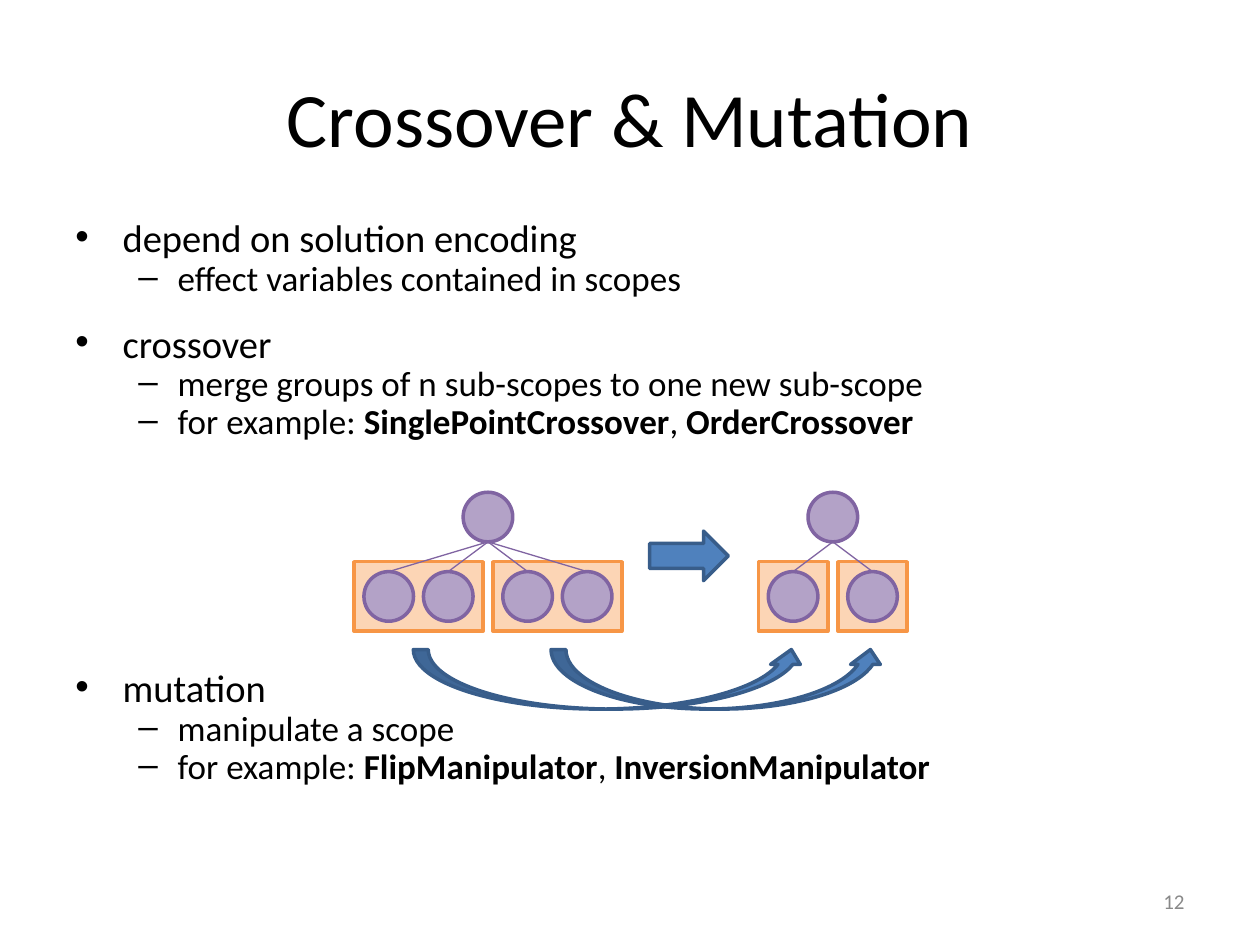
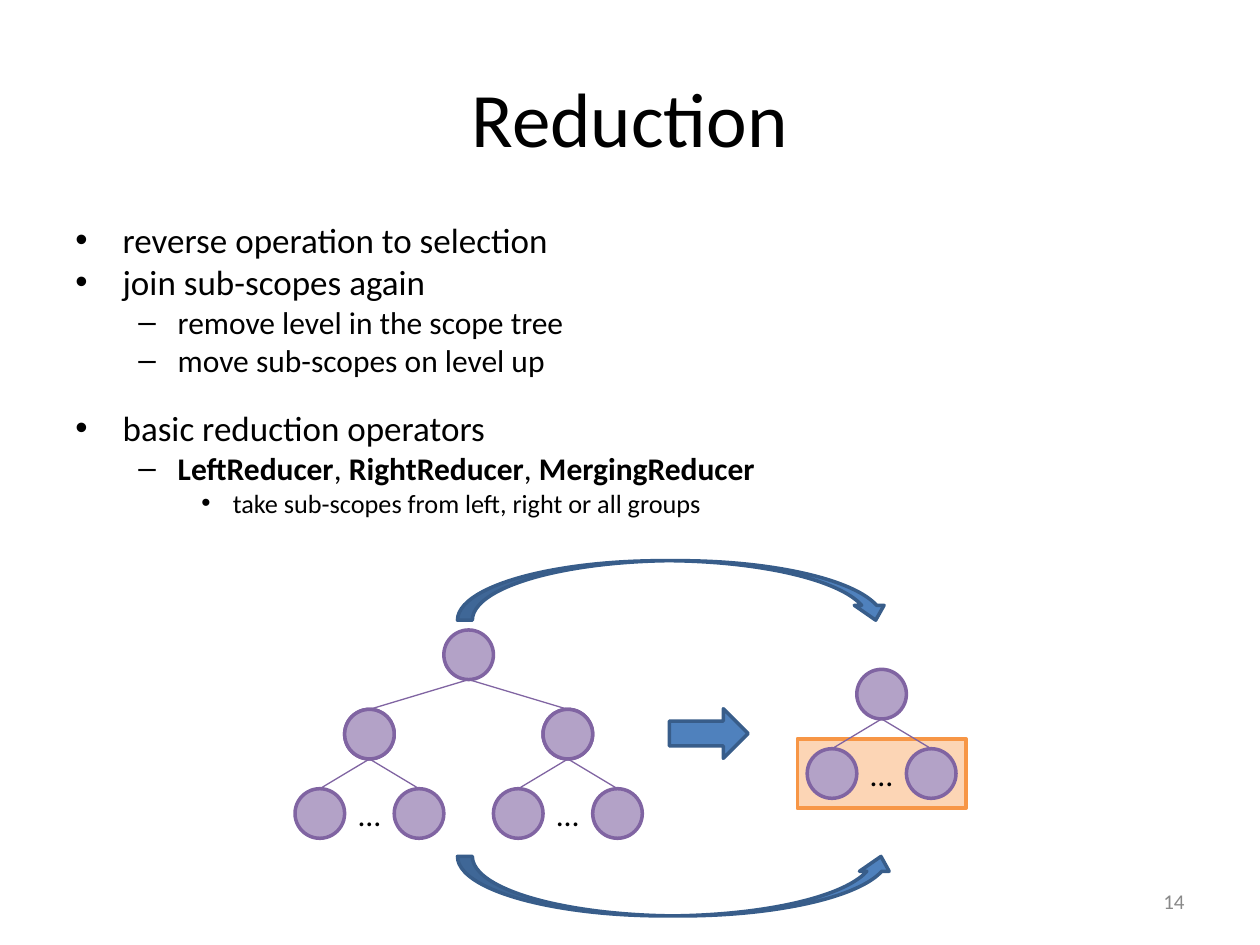
from collections import namedtuple
from lxml.etree import SubElement
from pptx import Presentation
from pptx.dml.color import RGBColor as Rgb
from pptx.enum.shapes import MSO_CONNECTOR as Link, MSO_SHAPE as Form
from pptx.enum.text import MSO_ANCHOR as Anchor, PP_ALIGN as Align
from pptx.oxml.ns import qn
from pptx.util import Pt

Box = namedtuple("Box", "left top width height")
Level = namedtuple("Level", "mark margin hang")

COLORS = {
    "text": "000000", "number": "898989",
    "node": "B3A2C7", "node_line": "8064A2",
    "group": "FCD5B5", "group_line": "F79646",
    "arrow": "4F81BD", "arrow_line": "385D8A",
}
FONT = "Calibri"
STEP = 5.67
NODE = 5 * STEP
DROP = 8 * STEP
LEVELS = [Level("•", 27, 27), Level("–", 58.5, 22.5), Level("•", 90, 18)]
TITLE_BOX = Box(36, 21.6, 648, 90)
NUMBER_BOX = Box(516, 500.4, 168, 28.8)
BODY_LEFT, BODY_TOP, BODY_WIDTH = 36, 126, 648


def color(name):
    return Rgb.from_string(COLORS[name])


def assign(target, values):
    for name, value in values.items():
        setattr(target, name, value)


def points(box):
    return [Pt(value) for value in box]


def add_spans(para, text, size, ink="text"):
    for index, part in enumerate(text.split("**")):
        if part:
            span = para.add_run()
            span.text = part
            assign(span.font, {"name": FONT, "size": Pt(size), "bold": index % 2 == 1})
            span.font.color.rgb = color(ink)


def add_frame(page, box, anchor):
    frame = page.shapes.add_textbox(*points(box)).text_frame
    assign(frame, {"word_wrap": True, "vertical_anchor": anchor})
    return frame


def add_label(page, box, text, size, align=Align.CENTER, ink="text"):
    para = add_frame(page, box, Anchor.MIDDLE).paragraphs[0]
    para.alignment = align
    add_spans(para, text, size, ink)


def add_bullet(para, level):
    props = para._p.get_or_add_pPr()
    props.set("marL", str(Pt(level.margin)))
    props.set("indent", str(Pt(-level.hang)))
    SubElement(props, qn("a:buFont")).set("typeface", "Arial")
    SubElement(props, qn("a:buChar")).set("char", level.mark)


def add_body(page, box, lines, sizes, spacing):
    frame = add_frame(page, box, Anchor.TOP)
    for index, (depth, text, *gap) in enumerate(lines):
        para = frame.add_paragraph() if index else frame.paragraphs[0]
        add_bullet(para, LEVELS[depth])
        before = gap[0] if gap else sizes[depth] / 4
        assign(para, {"line_spacing": spacing, "space_before": Pt(before if index else 0)})
        add_spans(para, text, sizes[depth])


def add_form(page, form, box, style):
    shape = page.shapes.add_shape(form, *points(box))
    shape.shadow.inherit = False
    shape.fill.solid()
    shape.fill.fore_color.rgb = color(style)
    shape.line.color.rgb = color(style + "_line")
    shape.line.width = Pt(2)


def add_branch(page, start, end):
    branch = page.shapes.add_connector(Link.STRAIGHT, *points(start + end))
    branch.line.color.rgb = color("node_line")
    branch.line.width = Pt(0.75)
    SubElement(branch._element.spPr, qn("a:effectLst"))


def add_node(page, center, top):
    add_form(page, Form.OVAL, Box(center - NODE / 2, top, NODE, NODE), "node")


def add_children(page, center, top, offsets):
    add_node(page, center, top)
    for offset in offsets:
        child = center + offset * STEP
        add_node(page, child, top + DROP)
        add_branch(page, (center, top + NODE), (child, top + DROP))


def add_groups(page, box, count):
    width = (box.width - (count - 1) * STEP) / count
    for index in range(count):
        left = box.left + index * (width + STEP)
        add_form(page, Form.RECTANGLE, Box(left, box.top + DROP - STEP, width, 7 * STEP), "group")


def add_tree(page, box, offsets, groups):
    add_groups(page, box, groups)
    add_children(page, box.left + box.width / 2, box.top, offsets)


def add_pair_tree(page, center, top):
    add_children(page, center, top, (-5, 5))
    add_label(page, Box(center - NODE / 2, top + DROP, NODE, NODE), "…", 18)


def add_deep_tree(page, box):
    center = box.left + box.width / 2
    for offset in (-10, 10):
        add_pair_tree(page, center + offset * STEP, box.top + DROP)
    add_children(page, center, box.top, (-10, 10))


def add_right_arrow(page, left, top):
    add_form(page, Form.RIGHT_ARROW, Box(left, top, 45, NODE), "arrow")


def add_curve(page, form, left, top, width):
    add_form(page, form, Box(left, top, width, 6 * STEP), "arrow")


def add_page(deck, title, number):
    page = deck.slides.add_slide(deck.slide_layouts[6])
    add_label(page, TITLE_BOX, title, 44)
    add_label(page, NUMBER_BOX, str(number), 12, Align.RIGHT, "number")
    return page


def add_crossover_page(deck):
    page = add_page(deck, "Crossover & Mutation", 12)
    add_body(page, Box(BODY_LEFT, BODY_TOP, BODY_WIDTH, 374.4), [
        (0, "depend on solution encoding"),
        (1, "effect variables contained in scopes"),
        (0, "crossover", 20),
        (1, "merge groups of n sub-scopes to one new sub-scope"),
        (1, "for example: **SinglePointCrossover**, **OrderCrossover**"),
        (0, "mutation", 135),
        (1, "manipulate a scope"),
        (1, "for example: **FlipManipulator**, **InversionManipulator**"),
    ], (22, 20), 0.7)
    add_tree(page, Box(433.4, 281.3, 15 * STEP, 14 * STEP), (-4, 4), 2)
    add_right_arrow(page, 371.2, 303.5)
    add_curve(page, Form.CURVED_UP_ARROW, 236.2, 371.2, 224.5)
    add_tree(page, Box(202.3, 281.3, 27 * STEP, 14 * STEP), (-10, -4, 4, 10), 2)
    add_curve(page, Form.CURVED_UP_ARROW, 314.9, 371.2, 191)


def add_reduction_page(deck):
    page = add_page(deck, "Reduction", 14)
    add_body(page, Box(BODY_LEFT, BODY_TOP, BODY_WIDTH, 189.4), [
        (0, "reverse operation to selection"),
        (0, "join sub-scopes again"),
        (1, "remove level in the scope tree"),
        (1, "move sub-scopes on level up"),
        (0, "basic reduction operators", 20.5),
        (1, "**LeftReducer**, **RightReducer**, **MergingReducer**"),
        (2, "take sub-scopes from left, right or all groups"),
    ], (20, 18, 15), 0.8)
    reduced = Box(455.6, 382.5, 17 * STEP, 14 * STEP)
    add_groups(page, reduced, 1)
    add_pair_tree(page, reduced.left + reduced.width / 2, reduced.top)
    add_right_arrow(page, 382.5, 405)
    add_curve(page, Form.CURVED_DOWN_ARROW, 261.4, 320.4, 247.5)
    add_curve(page, Form.CURVED_UP_ARROW, 261.4, 489.4, 250.5)
    add_deep_tree(page, Box(168.6, 360, 35 * STEP, 21 * STEP))


def main():
    deck = Presentation()
    assign(deck, {"slide_width": Pt(720), "slide_height": Pt(540)})
    add_crossover_page(deck)
    add_reduction_page(deck)
    deck.save("out.pptx")


if __name__ == "__main__":
    main()
